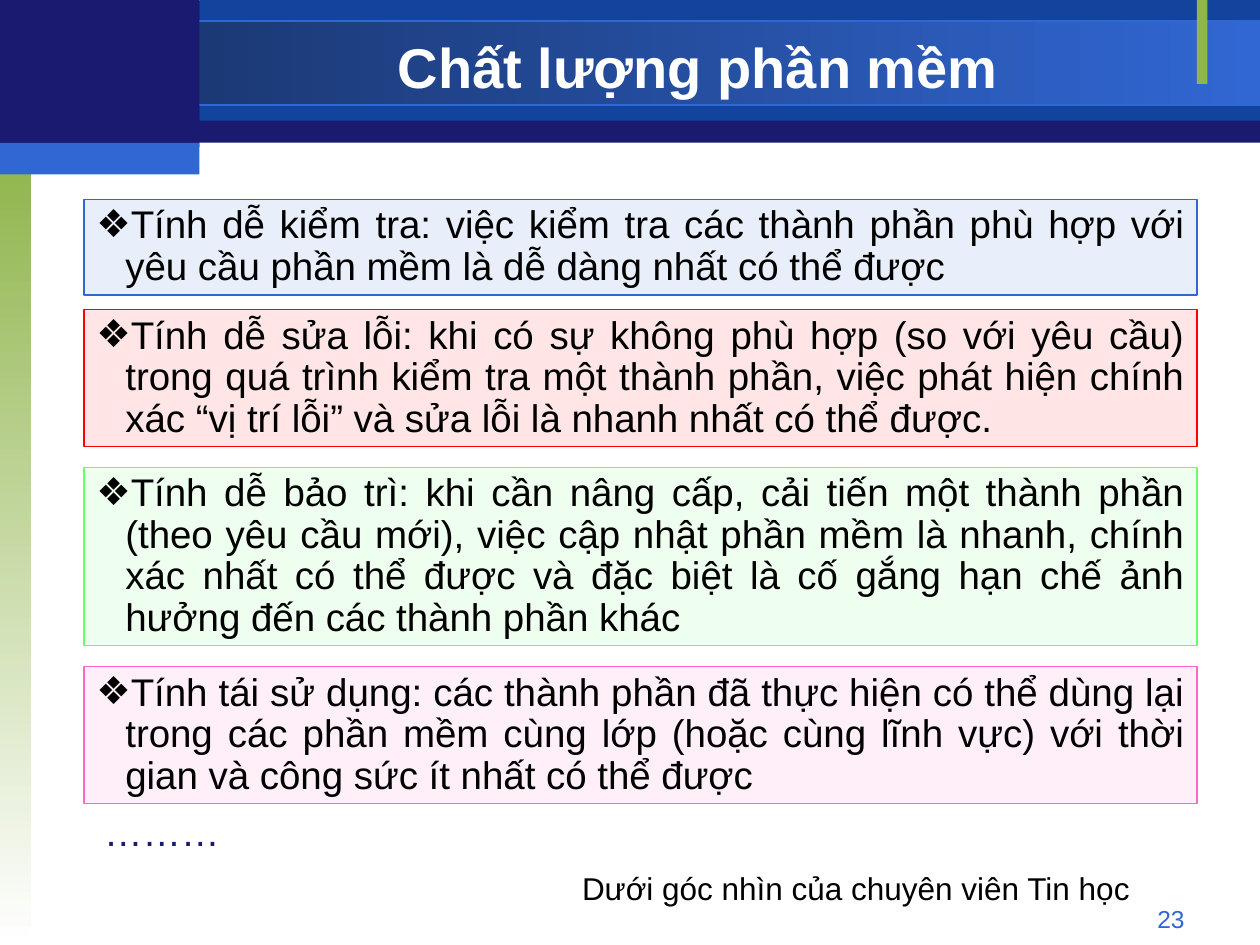
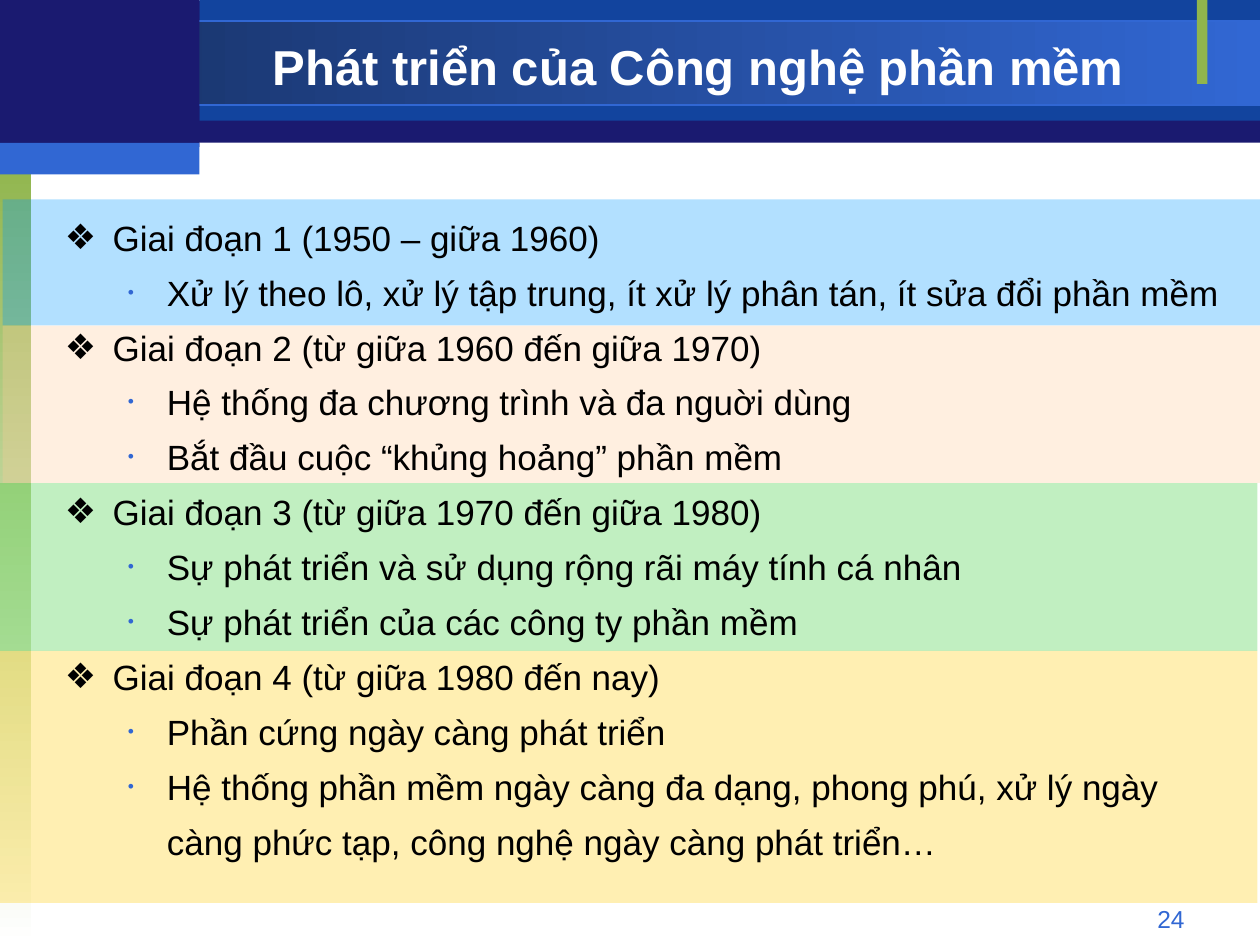
from dataclasses import dataclass, field
from itertools import accumulate
from typing import Optional

from lxml.etree import SubElement
from pptx import Presentation
from pptx.dml.color import RGBColor
from pptx.enum.shapes import MSO_SHAPE
from pptx.enum.text import MSO_ANCHOR, PP_ALIGN
from pptx.oxml.ns import qn
from pptx.util import Emu, Inches, Pt

COLUMNS, ROWS = 120, 90
SLIDE_WIDTH, SLIDE_HEIGHT = Inches(10), Inches(7.5)


@dataclass(frozen=True)
class Theme:
    """Colours, font and type sizes of the deck."""

    font: str = "Arial"
    navy: str = "1A1A70"
    cobalt: str = "12449E"
    midnight: str = "173062"
    blue: str = "3167D3"
    green: str = "90B54D"
    white: str = "FFFFFF"
    black: str = "000000"
    title_size: int = 32
    long_title_size: int = 28
    quality_size: int = 22
    stage_size: int = 20
    caption_size: int = 18
    number_size: int = 14


THEME = Theme()


@dataclass(frozen=True)
class Area:
    """A rectangle in grid columns and rows."""

    column: float
    row: float
    width: float
    height: float

    def lengths(self) -> list[Emu]:
        """Return left, top, width and height."""
        across, down = SLIDE_WIDTH / COLUMNS, SLIDE_HEIGHT / ROWS
        return [Emu(round(share)) for share in
                (self.column * across, self.row * down, self.width * across, self.height * down)]


@dataclass(frozen=True)
class Block:
    """A plain, translucent or two-colour rectangle."""

    area: Area
    fill: str
    end_fill: Optional[str] = None
    angle: int = 0
    line: Optional[str] = None
    opacity: int = 100


@dataclass(frozen=True)
class Style:
    """How the paragraphs of one kind look."""

    size: float
    color: str = THEME.black
    bold: bool = False
    align: PP_ALIGN = PP_ALIGN.LEFT
    bullet: str = ""
    bullet_color: str = THEME.black
    bullet_percent: int = 100
    margin: float = 0
    indent: float = 0
    line_spacing: float = 1.0
    space_before: float = 0


@dataclass(frozen=True)
class Quality:
    """A software quality in a coloured box."""

    row: float
    lines: int
    color: str
    text: str


@dataclass(frozen=True)
class Stage:
    """A stage of development on its colour band."""

    column: float
    rows: int
    color: str
    heading: str
    points: list[str]
    continuation: list[str] = field(default_factory=list)


FRAME = [
    Block(Area(0, 0.1, 120, 13.5), THEME.navy),
    Block(Area(19, 0, 101, 11.5), THEME.cobalt),
    Block(Area(0, 2, 120, 8), THEME.midnight, THEME.blue, line=THEME.blue),
    Block(Area(0, 15, 3, 75), THEME.green, THEME.white, angle=270),
    Block(Area(114, 0, 1, 8), THEME.green),
    Block(Area(0, 0, 19, 14), THEME.navy),
    Block(Area(0, 13.6, 19, 3), THEME.blue),
]

QUALITY = Style(THEME.quality_size, align=PP_ALIGN.JUSTIFY, bullet="❖",
                margin=0.23, indent=-0.23, line_spacing=0.9)
HEADING = Style(THEME.stage_size, align=PP_ALIGN.JUSTIFY, bullet="❖",
                margin=0.38, indent=-0.38, line_spacing=1.1, space_before=5)
POINT = Style(THEME.stage_size, align=PP_ALIGN.JUSTIFY, bullet="•",
              bullet_color=THEME.blue, bullet_percent=50,
              margin=0.81, indent=-0.31, line_spacing=1.1, space_before=5)
CONTINUATION = Style(THEME.stage_size, align=PP_ALIGN.JUSTIFY,
                     margin=0.81, line_spacing=1.1, space_before=5)

QUALITIES = [
    Quality(19, 2, "3167D3", "Tính dễ kiểm tra: việc kiểm tra các thành phần phù hợp với "
            "yêu cầu phần mềm là dễ dàng nhất có thể được"),
    Quality(29.5, 3, "FF0303", "Tính dễ sửa lỗi: khi có sự không phù hợp (so với yêu cầu) "
            "trong quá trình kiểm tra một thành phần, việc phát hiện chính "
            "xác “vị trí lỗi” và sửa lỗi là nhanh nhất có thể được."),
    Quality(44.5, 4, "66FF66", "Tính dễ bảo trì: khi cần nâng cấp, cải tiến một thành phần "
            "(theo yêu cầu mới), việc cập nhật phần mềm là nhanh, chính "
            "xác nhất có thể được và đặc biệt là cố gắng hạn chế ảnh "
            "hưởng đến các thành phần khác"),
    Quality(63.5, 3, "FF66CC", "Tính tái sử dụng: các thành phần đã thực hiện có thể dùng lại "
            "trong các phần mềm cùng lớp (hoặc cùng lĩnh vực) với thời "
            "gian và công sức ít nhất có thể được"),
]

STAGES = [
    Stage(0.25, 12, "0099FF", "Giai đoạn 1 (1950 – giữa 1960)",
          ["Xử lý theo lô, xử lý tập trung, ít xử lý phân tán, ít sửa đổi phần mềm"]),
    Stage(0.25, 15, "FFCC99", "Giai đoạn 2 (từ giữa 1960 đến giữa 1970)",
          ["Hệ thống đa chương trình và đa nguời dùng",
           "Bắt đầu cuộc “khủng hoảng” phần mềm"]),
    Stage(0, 16, "33CC33", "Giai đoạn 3 (từ giữa 1970 đến giữa 1980)",
          ["Sự phát triển và sử dụng rộng rãi máy tính cá nhân",
           "Sự phát triển của các công ty phần mềm"]),
    Stage(0, 24, "FFCC00", "Giai đoạn 4 (từ giữa 1980 đến nay)",
          ["Phần cứng ngày càng phát triển",
           "Hệ thống phần mềm ngày càng đa dạng, phong phú, xử lý ngày"],
          ["càng phức tạp, công nghệ ngày càng phát triển…"]),
]


def draw_block(page, block: Block):
    """Draw a rectangle and return it."""
    shape = page.shapes.add_shape(MSO_SHAPE.RECTANGLE, *block.area.lengths())
    shape.shadow.inherit = False
    if block.end_fill:
        shape.fill.gradient()
        shape.fill.gradient_angle = block.angle
        for stop, color in zip(shape.fill.gradient_stops, (block.fill, block.end_fill)):
            stop.color.rgb = RGBColor.from_string(color)
    else:
        shape.fill.solid()
        shape.fill.fore_color.rgb = RGBColor.from_string(block.fill)
    if block.opacity < 100:
        color = shape.element.spPr.find(qn("a:solidFill")).find(qn("a:srgbClr"))
        SubElement(color, qn("a:alpha"), val=str(block.opacity * 1000))
    if block.line:
        shape.line.color.rgb = RGBColor.from_string(block.line)
        shape.line.width = Pt(0.75)
    else:
        shape.line.fill.background()
    return shape


def format_paragraph(para, style: Style, first: bool) -> None:
    """Apply a style to a paragraph and its runs."""
    properties = para._p.get_or_add_pPr()
    properties.set("marL", str(Inches(style.margin)))
    properties.set("indent", str(Inches(style.indent)))
    if style.bullet:
        color = SubElement(properties, qn("a:buClr"))
        SubElement(color, qn("a:srgbClr"), val=style.bullet_color)
        SubElement(properties, qn("a:buSzPct"), val=str(style.bullet_percent * 1000))
        SubElement(properties, qn("a:buFont"), typeface=THEME.font)
        SubElement(properties, qn("a:buChar"), char=style.bullet)
    else:
        SubElement(properties, qn("a:buNone"))
    para.alignment = style.align
    para.line_spacing = style.line_spacing
    para.space_before = Pt(0 if first else style.space_before)
    for span in para.runs:
        span.font.name = THEME.font
        span.font.size = Pt(style.size)
        span.font.bold = style.bold
        span.font.color.rgb = RGBColor.from_string(style.color)


def write(box, lines: list[tuple[str, Style]], wrap: bool = True,
          anchor: MSO_ANCHOR = MSO_ANCHOR.TOP) -> None:
    """Fill a box with styled paragraphs."""
    frame = box.text_frame
    frame.word_wrap = wrap
    frame.vertical_anchor = anchor
    frame.text = "\n".join(text for text, _ in lines)
    for index, (para, (_, style)) in enumerate(zip(frame.paragraphs, lines)):
        format_paragraph(para, style, index == 0)


def add_text(page, area: Area, lines: list[tuple[str, Style]], wrap: bool = True,
             anchor: MSO_ANCHOR = MSO_ANCHOR.TOP) -> None:
    """Add a text box to the page."""
    write(page.shapes.add_textbox(*area.lengths()), lines, wrap, anchor)


def add_page(deck, title: str, title_size: int, number: int):
    """Add a page with the shared frame, title and number."""
    page = deck.slides.add_slide(deck.slide_layouts[6])
    for block in FRAME:
        draw_block(page, block)
    heading = Style(title_size, THEME.white, bold=True, align=PP_ALIGN.CENTER)
    add_text(page, Area(19, 2.75, 95, 7), [(title, heading)], anchor=MSO_ANCHOR.MIDDLE)
    footer = Style(THEME.number_size, THEME.blue, align=PP_ALIGN.RIGHT)
    add_text(page, Area(86, 85.5, 28, 3.25), [(str(number), footer)])
    return page


def add_quality_page(deck) -> None:
    """Build the page on software quality."""
    page = add_page(deck, "Chất lượng phần mềm", THEME.title_size, 23)
    for quality in QUALITIES:
        area = Area(8, quality.row, 106, 1.2 + 3.95 * quality.lines)
        box = draw_block(page, Block(area, quality.color, line=quality.color, opacity=10))
        write(box, [(quality.text, QUALITY)])
    add_text(page, Area(54.25, 82.2, 54.75, 4.8),
             [("Dưới góc nhìn của chuyên viên Tin học", Style(THEME.caption_size))], wrap=False)
    add_text(page, Area(8.75, 76.4, 14.2, 5.6),
             [("………", Style(THEME.quality_size, THEME.navy))])


def add_stage_page(deck) -> None:
    """Build the page on the stages of software engineering."""
    page = add_page(deck, "Phát triển của Công nghệ phần mềm", THEME.long_title_size, 24)
    lines = []
    tops = accumulate((stage.rows for stage in STAGES), initial=19)
    for stage, top in zip(STAGES, tops):
        draw_block(page, Block(Area(stage.column, top, 119.75, stage.rows),
                               stage.color, opacity=30))
        lines.append((stage.heading, HEADING))
        lines += [(point, POINT) for point in stage.points]
        lines += [(rest, CONTINUATION) for rest in stage.continuation]
    add_text(page, Area(5, 19.6, 113, 66.8), lines)


def main() -> None:
    """Build and save the deck."""
    deck = Presentation()
    deck.slide_width, deck.slide_height = SLIDE_WIDTH, SLIDE_HEIGHT
    add_quality_page(deck)
    add_stage_page(deck)
    deck.save("out.pptx")


if __name__ == "__main__":
    main()
